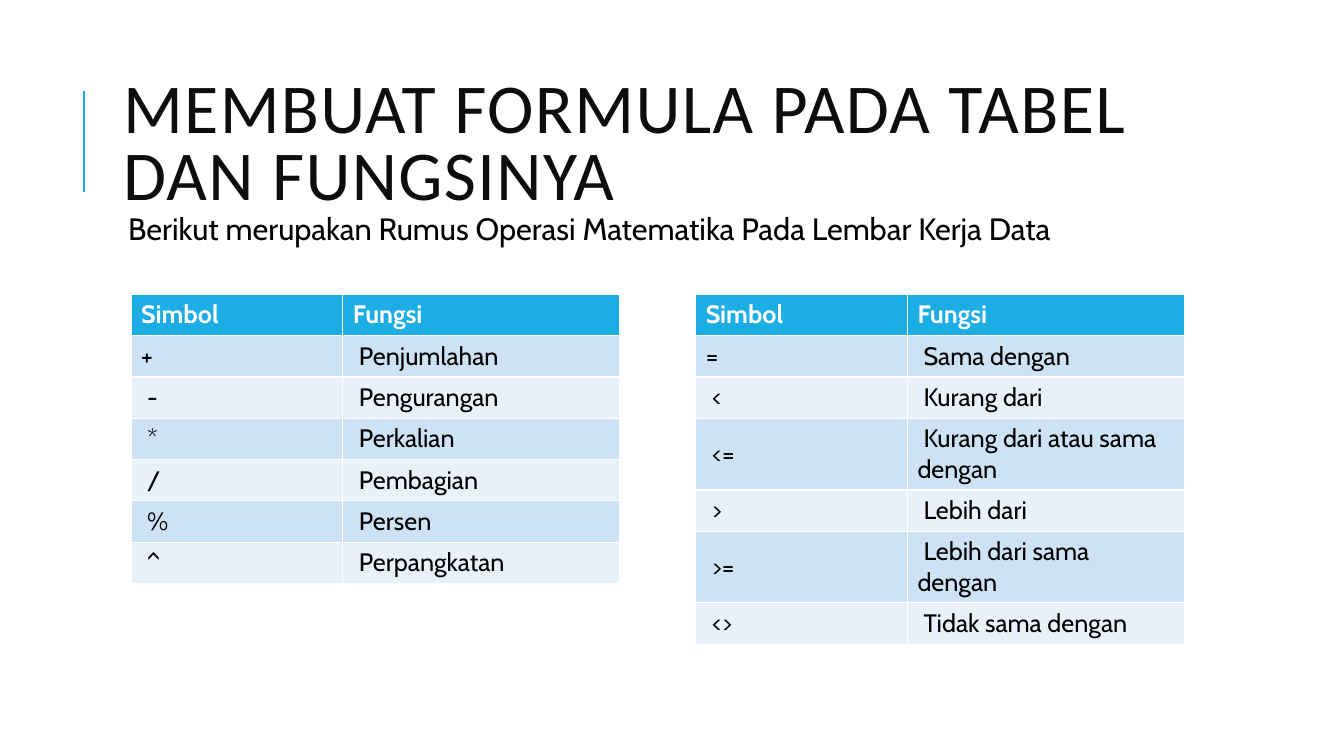
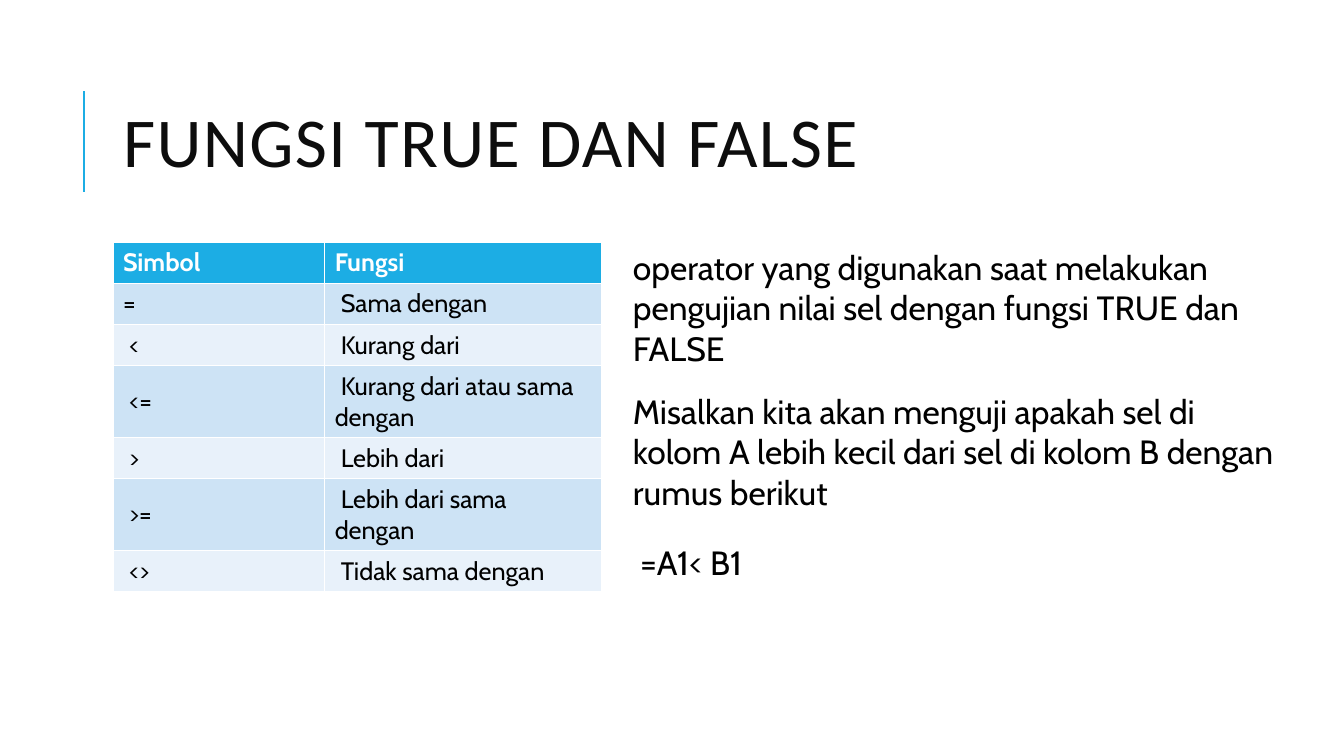
"""Build two slides on spreadsheet operators and their functions."""
from lxml import etree
from pptx import Presentation
from pptx.dml.color import RGBColor
from pptx.enum.shapes import MSO_CONNECTOR
from pptx.enum.text import MSO_ANCHOR, MSO_AUTO_SIZE, PP_ALIGN
from pptx.oxml.ns import qn
from pptx.util import Inches, Pt

STRAIGHT = MSO_CONNECTOR.STRAIGHT
TOP, MIDDLE = MSO_ANCHOR.TOP, MSO_ANCHOR.MIDDLE
NO_FIT = MSO_AUTO_SIZE.NONE
LEFT = PP_ALIGN.LEFT

COLORS = {
    "accent": "1CADE4",
    "title": "0D0D0D",
    "text": "000000",
    "header_text": "FFFFFF",
    "band_dark": "CDE3F5",
    "band_light": "E8F1FA",
}
TITLE_FONT, BODY_FONT = "Calibri", "Cabin"
COLUMN_WIDTHS = (2.1, 2.75)
ROW_HEIGHT = 0.41

HEADER = ("Simbol", "Fungsi")
MATH_OPERATORS = [
    HEADER,
    ("+", "Penjumlahan"),
    ("-", "Pengurangan"),
    ("*", "Perkalian"),
    ("/", "Pembagian"),
    ("%", "Persen"),
    ("^", "Perpangkatan"),
]
COMPARISONS = [
    HEADER,
    ("=", "Sama dengan"),
    ("<", "Kurang dari"),
    ("<=", "Kurang dari atau sama dengan"),
    (">", "Lebih dari"),
    (">=", "Lebih dari sama dengan"),
    ("<>", "Tidak sama dengan"),
]


def style(paragraph, font_name, size, color, bold=False):
    font = paragraph.font
    font.name, font.size, font.bold = font_name, Pt(size), bold
    font.color.rgb = RGBColor.from_string(COLORS[color])


def add_operator_table(slide, left, top, rows):
    table = slide.shapes.add_table(
        len(rows), len(HEADER), Inches(left), Inches(top),
        Inches(sum(COLUMN_WIDTHS)), Inches(ROW_HEIGHT * len(rows))).table
    for column, width in zip(table.columns, COLUMN_WIDTHS):
        column.width = Inches(width)
    for r, row in enumerate(rows):
        table.rows[r].height = Inches(ROW_HEIGHT)
        is_header = r == 0
        band = "accent" if is_header else "band_dark" if r % 2 else "band_light"
        for c, text in enumerate(row):
            cell = table.cell(r, c)
            cell.text = text
            cell.vertical_anchor = TOP if is_header else MIDDLE
            cell.fill.solid()
            cell.fill.fore_color.rgb = RGBColor.from_string(COLORS[band])
            paragraph = cell.text_frame.paragraphs[0]
            if r > 1 or (r == 1 and c == 1):
                paragraph._p.get_or_add_pPr().set("indent", str(Inches(0.06)))
            style(paragraph, BODY_FONT, 18, "header_text" if is_header else "text", is_header)


prs = Presentation()
prs.slide_width, prs.slide_height = Inches(13.33), Inches(7.5)
formula_slide = prs.slides.add_slide(prs.slide_layouts[1])
logic_slide = prs.slides.add_slide(prs.slide_layouts[5])

for slide, heading in (
    (formula_slide, "MEMBUAT FORMULA PADA TABEL DAN FUNGSINYA"),
    (logic_slide, "FUNGSI TRUE DAN FALSE"),
):
    accent_line = slide.shapes.add_connector(
        STRAIGHT, Inches(0.83), Inches(1.9), Inches(0.83), Inches(0.9))
    accent_line.line.color.rgb = RGBColor.from_string(COLORS["accent"])
    accent_line.line.width = Pt(1.5)
    etree.SubElement(accent_line._element.spPr, qn("a:effectLst"))

    title = slide.shapes.title
    title.left, title.top, title.width, title.height = map(Inches, (1.12, 0.64, 10.63, 1.64))
    title.text = heading
    title.text_frame.auto_size = NO_FIT
    title.text_frame.vertical_anchor = MIDDLE
    paragraph = title.text_frame.paragraphs[0]
    paragraph.alignment = LEFT
    paragraph.line_spacing = 0.8
    paragraph.runs[0]._r.get_or_add_rPr().set("spc", "100")
    style(paragraph, TITLE_FONT, 50, "title")

intro = formula_slide.placeholders[1]
intro.left, intro.top, intro.width, intro.height = map(Inches, (1.12, 2.07, 10.63, 0.5))
intro.text = "Berikut merupakan Rumus Operasi Matematika Pada Lembar Kerja Data"
frame = intro.text_frame
frame.auto_size = NO_FIT
frame.vertical_anchor = TOP
frame.margin_left = frame.margin_right = frame.margin_top = frame.margin_bottom = Inches(0.05)
paragraph = frame.paragraphs[0]
properties = paragraph._p.get_or_add_pPr()
properties.set("marL", str(Inches(0.1)))
properties.set("indent", "0")
etree.SubElement(properties, qn("a:buNone"))
paragraph.line_spacing = 0.9
paragraph.space_before, paragraph.space_after = Pt(0), Pt(2)
style(paragraph, BODY_FONT, 22, "text")

add_operator_table(formula_slide, 1.3, 2.92, MATH_OPERATORS)
add_operator_table(formula_slide, 6.9, 2.92, COMPARISONS)
add_operator_table(logic_slide, 1.12, 2.4, COMPARISONS)

for left, top, width, height, wraps, text in (
    (6.18, 2.4, 6.67, 1.31, True,
     "operator yang digunakan saat melakukan pengujian nilai sel dengan fungsi TRUE dan FALSE"),
    (6.18, 3.83, 6.67, 1.31, True,
     "Misalkan kita akan menguji apakah sel di kolom A lebih kecil dari sel di kolom B "
     "dengan rumus berikut"),
    (6.25, 5.33, 1.49, 0.5, False, "=A1< B1"),
):
    explanation = logic_slide.shapes.add_textbox(*map(Inches, (left, top, width, height)))
    explanation.text_frame.word_wrap = wraps
    explanation.text_frame.text = text
    style(explanation.text_frame.paragraphs[0], BODY_FONT, 24, "text")

prs.save("out.pptx")
